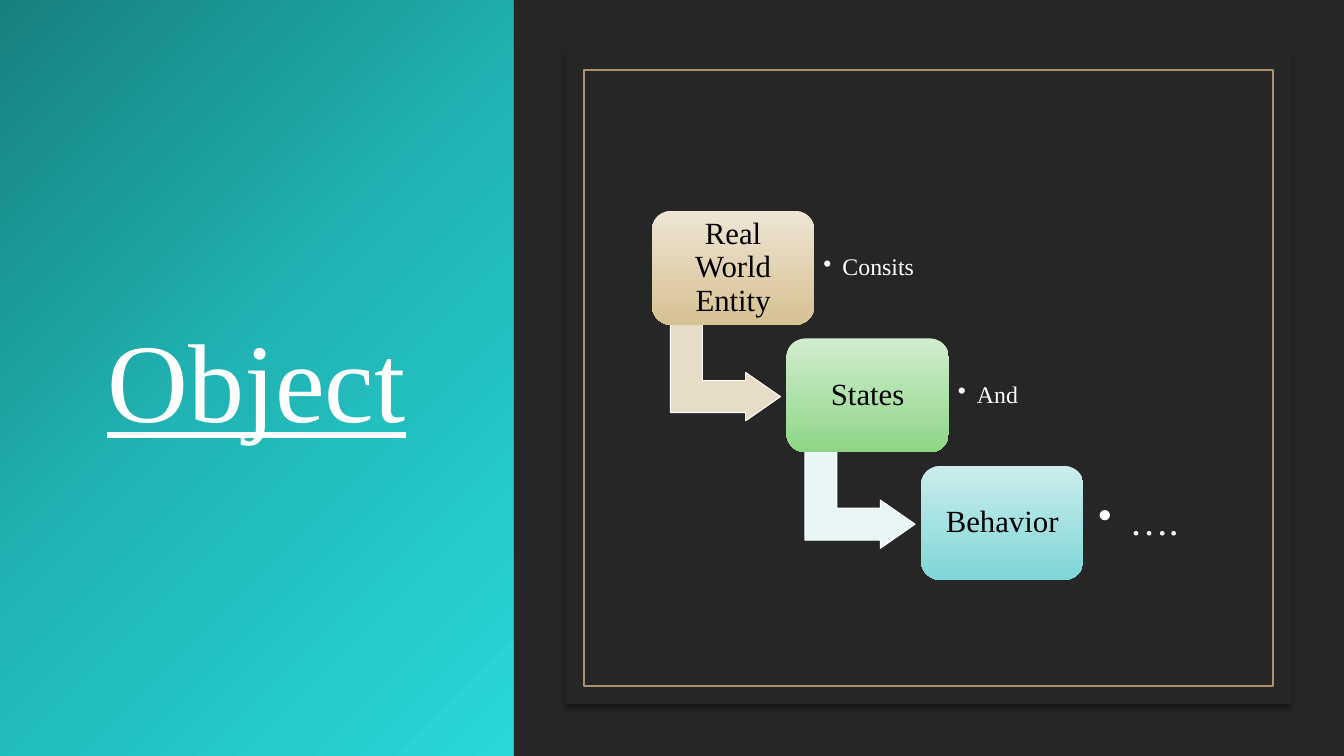
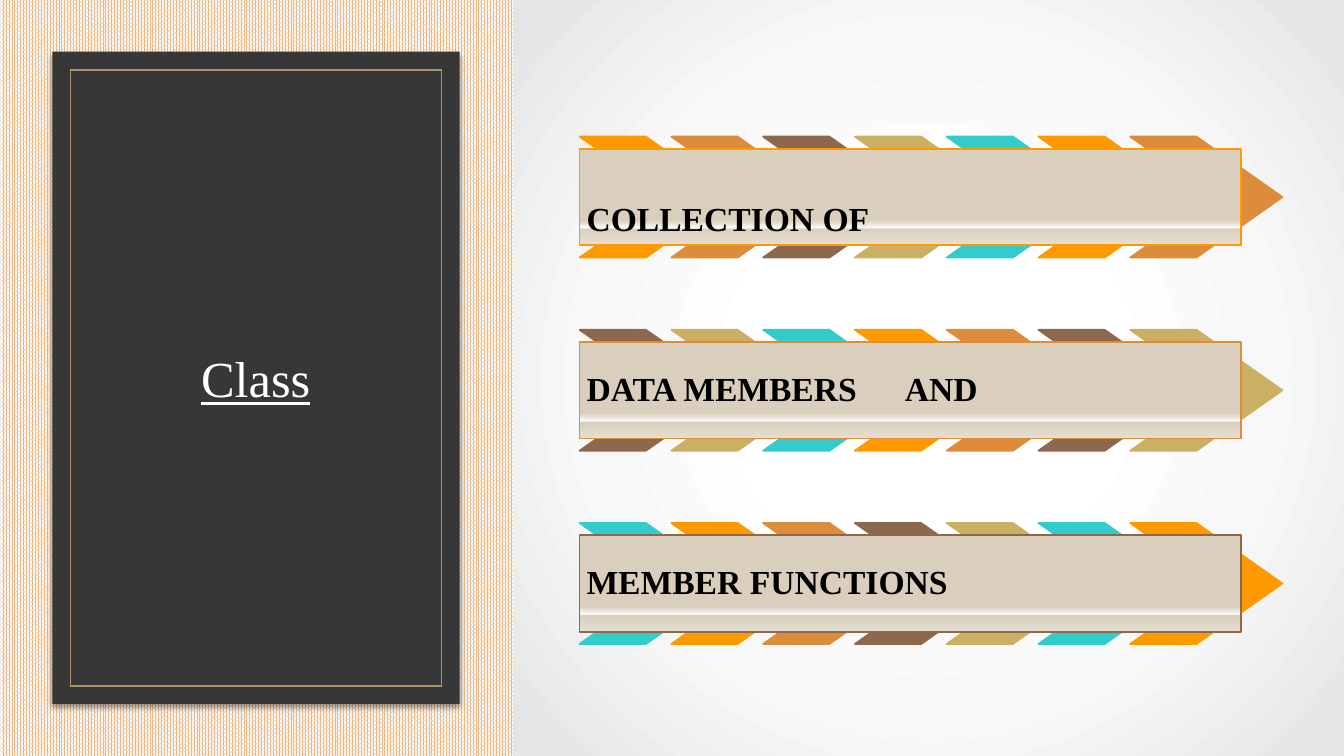
"""Build two slides that present the ideas of object and class."""
import collections
import dataclasses

import pptx
import pptx.dml.color
import pptx.enum.dml
import pptx.enum.shapes
import pptx.enum.text
import pptx.oxml
import pptx.oxml.ns
import pptx.util

Pt = pptx.util.Pt
SHAPE = pptx.enum.shapes.MSO_SHAPE
ANCHOR = pptx.enum.text.MSO_ANCHOR
ALIGN = pptx.enum.text.PP_ALIGN
Box = collections.namedtuple("Box", "left top width height")
Gradient = collections.namedtuple("Gradient", "stops angle")


@dataclasses.dataclass(frozen=True)
class Theme:
    """Colours and type sizes of the presentation."""

    font: str = "Times New Roman"
    white: str = "FFFFFF"
    ink: str = "000000"
    night: str = "262626"
    charcoal: str = "373737"
    gold: str = "AB946B"
    weave: str = "EBBA8A"
    frame_width: float = 1.25
    arrow_width: float = 0.75
    hero_size: int = 80
    title_size: int = 36
    step_size: int = 22
    caption_size: int = 17
    ellipsis_size: int = 28
    banner_size: int = 24
    teal: Gradient = Gradient(((0, "178080"), (50, "21B6B6"), (100, "28D7D7")), 45)
    glow: Gradient = Gradient(
        ((0, "FFFFFF"), (30, "FFFFFF"), (61, "F8F8F8"), (97, "E5E5E5")), None)
    sand: Gradient = Gradient(
        ((74, "D9CFBC"), (82, "FBFAF8"), (83, "D9CFBC"), (100, "E6DFD3")), 90)
    step_fills: tuple = (
        Gradient(((0, "EEE5D4"), (100, "D6C191")), 90),
        Gradient(((0, "D1EDCF"), (100, "8ED686")), 90),
        Gradient(((0, "CBEDED"), (100, "7FD6D6")), 90))
    arrow_fills: tuple = ("E7DCC5", "E8F6F6")
    accents: tuple = ("FF9900", "DD8C3C", "8E684C", "CBAF62", "33CCCC")


THEME = Theme()
LEFT_PANEL = Box(0, 0, 366.6, 540)
RIGHT_PANEL = Box(366.6, 0, 593.4, 540)


def rgb(value):
    """Turn a hex string into a colour."""
    return pptx.dml.color.RGBColor.from_string(value)


def drawing_xml(text):
    """Parse a drawing element whose root tag carries no namespace yet."""
    head, rest = text.split(">", 1)
    slash = "/" if head.endswith("/") else ""
    declared = f"{head.rstrip('/')} {pptx.oxml.ns.nsdecls('a')}{slash}>"
    return pptx.oxml.parse_xml(declared + rest)


def paint(shape, fill):
    """Fill a shape with nothing, a colour or a gradient."""
    if isinstance(fill, str):
        shape.fill.solid()
        shape.fill.fore_color.rgb = rgb(fill)
        return
    shape.fill.background()
    if fill is None:
        return
    stops = "".join(
        f'<a:gs pos="{position * 1000}"><a:srgbClr val="{color}"/></a:gs>'
        for position, color in fill.stops)
    if fill.angle is None:
        direction = ('<a:path path="circle"><a:fillToRect l="50000" t="50000" '
                     'r="50000" b="50000"/></a:path>')
    else:
        direction = f'<a:lin ang="{fill.angle * 60000}" scaled="0"/>'
    properties = shape.element.spPr
    empty = properties.find(pptx.oxml.ns.qn("a:noFill"))
    properties.replace(empty, drawing_xml(
        f"<a:gradFill><a:gsLst>{stops}</a:gsLst>{direction}</a:gradFill>"))


def place(shape, box):
    """Move and size a shape to a box in points."""
    shape.left, shape.top, shape.width, shape.height = map(Pt, box)


def add_block(slide, preset, box, fill=None, line=None,
              line_width=THEME.frame_width, adjustments=()):
    """Add a preset shape without the default shadow."""
    block = slide.shapes.add_shape(preset, *map(Pt, box))
    block.shadow.inherit = False
    for index, value in enumerate(adjustments):
        block.adjustments[index] = value
    paint(block, fill)
    if line is None:
        block.line.fill.background()
    else:
        block.line.color.rgb = rgb(line)
        block.line.width = Pt(line_width)
    return block


def write_text(shape, text, *, size, color, bold=False, underline=False,
               align=ALIGN.LEFT, anchor=ANCHOR.MIDDLE, inset=7.2,
               line_spacing=0.9, bullet_indent=None, tab=None):
    """Write one formatted paragraph into a shape."""
    frame = shape.text_frame
    frame.auto_size = pptx.enum.text.MSO_AUTO_SIZE.NONE
    frame.word_wrap = True
    frame.vertical_anchor = anchor
    frame.margin_left = frame.margin_right = Pt(inset)
    frame.margin_top = frame.margin_bottom = Pt(inset)
    paragraph = frame.paragraphs[0]
    properties = paragraph._p.get_or_add_pPr()
    if bullet_indent is not None:
        properties.set("marL", str(Pt(bullet_indent)))
        properties.set("indent", str(-Pt(bullet_indent)))
        properties.append(drawing_xml('<a:buChar char="•"/>'))
    if tab is not None:
        properties.append(drawing_xml(
            f'<a:tabLst><a:tab pos="{Pt(tab)}" algn="l"/></a:tabLst>'))
    paragraph.alignment = align
    paragraph.line_spacing = line_spacing
    run = paragraph.add_run()
    run.text = text
    run.font.name = THEME.font
    run.font.size = Pt(size)
    run.font.bold = bold
    run.font.underline = underline
    run.font.color.rgb = rgb(color)


def add_title(slide, text, box, size, fill=None):
    """Bring the title placeholder forward and format it."""
    title = slide.shapes.title
    title.element.getparent().append(title.element)
    place(title, box)
    paint(title, fill)
    write_text(title, text, size=size, color=THEME.white, underline=True,
               align=ALIGN.CENTER, line_spacing=1.0)


def add_framed_card(slide, box, fill):
    """Add a shadowed card with a thin gold frame inside it."""
    card = add_block(slide, SHAPE.RECTANGLE, box, fill)
    effects = card.element.spPr.find(pptx.oxml.ns.qn("a:effectLst"))
    effects.append(drawing_xml(
        f'<a:outerShdw blurRad="{Pt(4)}" dist="{Pt(3)}" dir="5400000">'
        f'<a:srgbClr val="{THEME.ink}"><a:alpha val="40000"/></a:srgbClr>'
        '</a:outerShdw>'))
    gap = 13
    inner = Box(box.left + gap, box.top + gap,
                box.width - 2 * gap, box.height - 2 * gap)
    add_block(slide, SHAPE.RECTANGLE, inner, line=THEME.gold)


def add_step_down(slide, box, steps):
    """Add a staircase of labelled steps joined by bent arrows."""
    width, height = 116, 81.4
    across = (box.width - width) / (len(steps) - 1)
    down = (box.height - height) / (len(steps) - 1)
    for index, (label, caption, caption_size) in enumerate(steps):
        left, top = box.left + index * across, box.top + index * down
        if index < len(steps) - 1:
            arrow = add_block(
                slide, SHAPE.BENT_UP_ARROW, Box(left + 18, top + 76.2, 69, 78.6),
                THEME.arrow_fills[index], THEME.white, THEME.arrow_width,
                (0.33, 0.25, 0.36))
            arrow.rotation = 90
        step = add_block(slide, SHAPE.ROUNDED_RECTANGLE,
                         Box(left, top, width, height), THEME.step_fills[index])
        write_text(step, label, size=THEME.step_size, color=THEME.ink,
                   align=ALIGN.CENTER, inset=6)
        note = slide.shapes.add_textbox(
            *map(Pt, Box(left + width, top + 8, 84, 65.5)))
        write_text(note, caption, size=caption_size, color=THEME.white,
                   inset=0.38 * caption_size, bullet_indent=0.8 * caption_size)


def add_banner(slide, box, first_accent, line, text, **text_format):
    """Add a sand bar lying on a row of chevrons."""
    count, chevron_width, overhang = 7, 108.7, 8.7
    pitch = (box.width - chevron_width) / (count - 1)
    for index in range(count):
        accent = THEME.accents[(first_accent + index) % len(THEME.accents)]
        add_block(slide, SHAPE.CHEVRON,
                  Box(box.left + index * pitch, box.top, chevron_width, box.height),
                  accent, accent, adjustments=(0.71,))
    bar = add_block(slide, SHAPE.RECTANGLE,
                    Box(box.left, box.top + overhang, box.width - 29.7,
                        box.height - 2 * overhang), THEME.sand, line)
    write_text(bar, text, size=THEME.banner_size, color=THEME.ink, bold=True,
               inset=5, **text_format)


def add_banner_list(slide, box, banners):
    """Stack banners evenly and shift the accent cycle for each."""
    height = 86.4
    pitch = (box.height - height) / (len(banners) - 1)
    for index, (text, text_format) in enumerate(banners):
        add_banner(slide, Box(box.left, box.top + index * pitch, box.width, height),
                   2 * index, THEME.accents[index], text, **text_format)


def build_object_slide(slide):
    """Build the slide about objects."""
    slide.background.fill.solid()
    slide.background.fill.fore_color.rgb = rgb(THEME.night)
    add_title(slide, "Object", LEFT_PANEL, THEME.hero_size, THEME.teal)
    add_framed_card(slide, Box(404, 36.8, 518.4, 466), THEME.night)
    add_step_down(slide, Box(465.7, 150.6, 308.2, 263.6), (
        ("Real World Entity", "Consits", THEME.caption_size),
        ("States", "And", THEME.caption_size),
        ("Behavior", "….", THEME.ellipsis_size)))


def build_class_slide(slide):
    """Build the slide about classes."""
    backdrop = slide.background.fill
    backdrop.patterned()
    backdrop.pattern = pptx.enum.dml.MSO_PATTERN.PERCENT_80
    backdrop.fore_color.rgb = rgb(THEME.weave)
    backdrop.back_color.rgb = rgb(THEME.white)
    add_framed_card(slide, Box(37.4, 36.8, 291, 466), THEME.charcoal)
    add_title(slide, "Class", Box(75, 75, 215.4, 389.6), THEME.title_size)
    add_block(slide, SHAPE.RECTANGLE, RIGHT_PANEL, THEME.glow)
    add_banner_list(slide, Box(414, 97.6, 502, 362.4), (
        ("COLLECTION OF", {"anchor": ANCHOR.BOTTOM}),
        ("DATA MEMBERS\tAND", {"tab": 227.4}),
        ("MEMBER FUNCTIONS", {})))


def main():
    """Create and save the presentation."""
    presentation = pptx.Presentation()
    presentation.slide_width, presentation.slide_height = Pt(960), Pt(540)
    title_only = presentation.slide_layouts[5]
    for build in (build_object_slide, build_class_slide):
        build(presentation.slides.add_slide(title_only))
    presentation.save("out.pptx")


if __name__ == "__main__":
    main()
